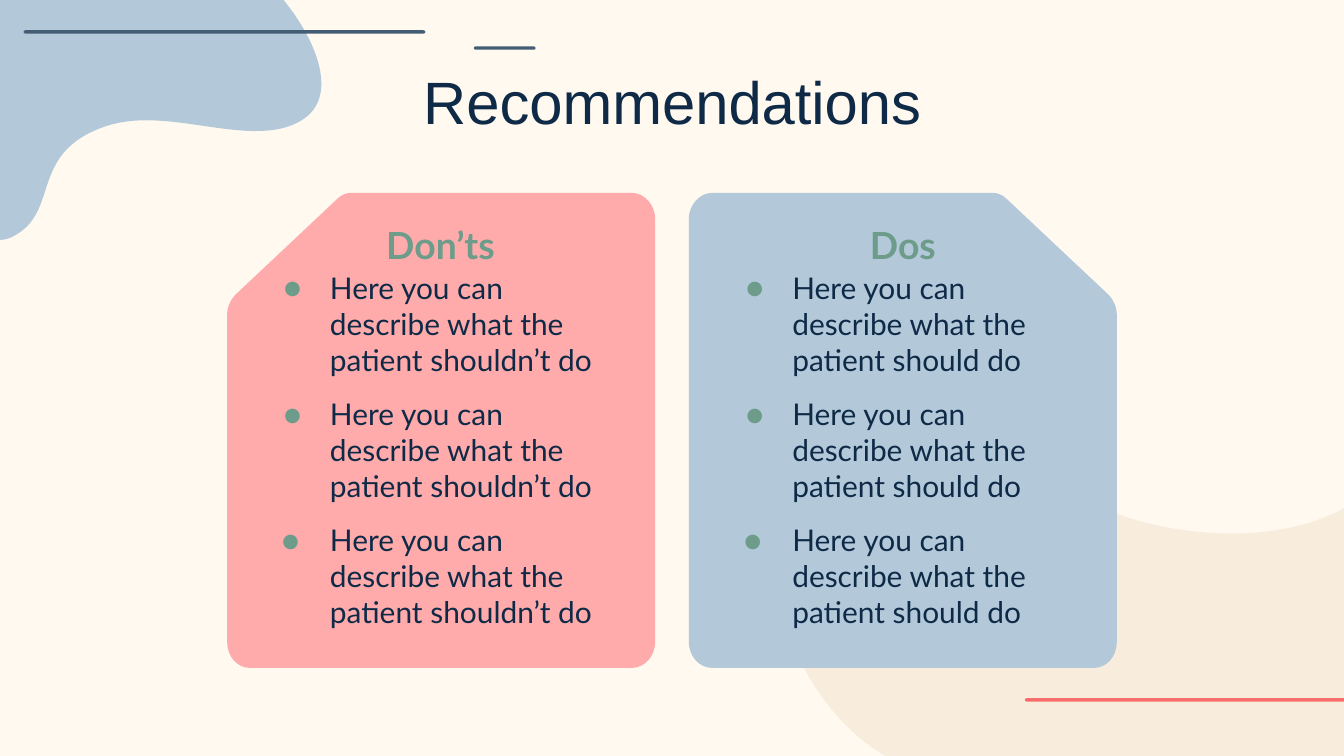
from lxml.etree import SubElement
from pptx import Presentation
from pptx.dml.color import RGBColor
from pptx.enum.text import MSO_ANCHOR, PP_ALIGN as Align
from pptx.oxml.ns import qn
from pptx.util import Inches, Pt

CREAM = RGBColor(0xFF, 0xF9, 0xF0)
BLUE = RGBColor(0xB3, 0xC9, 0xDA)
SAND = RGBColor(0xF8, 0xED, 0xDD)
SLATE = RGBColor(0x43, 0x5D, 0x74)
CORAL = RGBColor(0xF8, 0x6C, 0x6C)
PINK = RGBColor(0xFF, 0xAB, 0xAB)
NAVY = RGBColor(0x0E, 0x2A, 0x47)
GREEN = RGBColor(0x6D, 0x9C, 0x8B)

SLIDE_WIDTH = 20

# Outlines: a pair is a straight step, six numbers are a cubic curve.
TOP_BLOB = [
    (4.22, 0), (4.74, 0.64, 5.02, 1.43, 4.52, 1.77),
    (4.31, 1.91, 4.07, 1.95, 3.8, 1.95), (3.3, 1.95, 2.72, 1.79, 2.17, 1.79),
    (1.92, 1.79, 1.67, 1.83, 1.44, 1.93), (0.43, 2.35, 0.9, 3.2, 0.15, 3.54),
    (0.1, 3.56, 0.05, 3.57, 0, 3.57), (0, 0),
]
BOTTOM_BLOB = [
    (13.78, 6.58), (14.87, 6.58, 15.77, 7.47, 17.13, 7.8),
    (17.58, 7.9, 17.99, 7.94, 18.34, 7.94), (19.41, 7.94, 20, 7.56, 20, 7.56),
    (20, 11.25), (13.17, 11.25), (11.81, 10.45, 10.77, 8.04, 12.54, 6.97),
    (12.99, 6.69, 13.4, 6.58, 13.78, 6.58),
]
CARD = [
    (14.77, 2.87), (14.85, 2.87, 14.92, 2.9, 14.98, 2.96), (16.5, 4.39),
    (16.58, 4.47, 16.62, 4.58, 16.62, 4.7), (16.62, 9.55),
    (16.62, 9.77, 16.47, 9.94, 16.28, 9.94), (10.6, 9.94),
    (10.41, 9.94, 10.25, 9.77, 10.25, 9.55), (10.25, 3.26),
    (10.25, 3.05, 10.41, 2.87, 10.6, 2.87),
]


def mirror(steps):
    return [tuple(value if index % 2 else SLIDE_WIDTH - value
                  for index, value in enumerate(step)) for step in steps]


def add_bullet(paragraph, color, indent):
    properties = paragraph._p.get_or_add_pPr()
    properties.set("marL", str(Inches(1)))
    properties.set("indent", str(-Inches(indent)))
    bullet_color = SubElement(properties, qn("a:buClr"))
    SubElement(bullet_color, qn("a:srgbClr"), val=str(color))
    SubElement(properties, qn("a:buFont"), typeface="Lato")
    SubElement(properties, qn("a:buChar"), char="●")


def write(paragraph, text, *, size, font="Lato", color=NAVY, bold=False,
          align=Align.LEFT, line_spacing=None, before=None):
    run = paragraph.add_run()
    run.text = text
    run.font.size = Pt(size)
    run.font.name = font
    run.font.bold = bold
    run.font.color.rgb = color
    paragraph.alignment = align
    if line_spacing:
        paragraph.line_spacing = line_spacing
    if before:
        paragraph.space_before = Pt(before)


class SlideBuilder:
    def __init__(self, slide):
        self.slide = slide
        self.inset = Inches(0.2)
        fill = slide.background.fill
        fill.solid()
        fill.fore_color.rgb = CREAM

    def outline(self, steps, color, left, top, width, height):
        """Draw a filled outline: its frame first, then its curved path."""
        right, bottom = left + width, top + height
        frame = [(Inches(x), Inches(y)) for x, y in
                 ((left, top), (right, top), (right, bottom), (left, bottom))]
        builder = self.slide.shapes.build_freeform(*frame[0])
        builder.add_line_segments(frame[1:], close=True)
        shape = builder.convert_to_shape()
        outline_path = shape._element.find(".//" + qn("a:path"))
        for child in list(outline_path):
            outline_path.remove(child)
        for index, step in enumerate(steps):
            kind = "cubicBezTo" if len(step) == 6 else "lnTo" if index else "moveTo"
            command = SubElement(outline_path, qn("a:" + kind))
            for x, y in zip(step[::2], step[1::2]):
                SubElement(command, qn("a:pt"),
                           x=str(Inches(x - left)), y=str(Inches(y - top)))
        SubElement(outline_path, qn("a:close"))
        shape.shadow.inherit = False
        shape.fill.solid()
        shape.fill.fore_color.rgb = color
        shape.line.fill.background()

    def bar(self, left, top, right, color, round_end=True):
        """Draw a thin bar, rounded at the left and optionally at the right."""
        height, corner = 0.05, 0.03
        middle, bottom = top + height / 2, top + height
        steps = [(left + corner, top),
                 (left + 0.01, top, left, top + 0.01, left, middle),
                 (left, bottom - 0.01, left + 0.01, bottom, left + corner, bottom)]
        if round_end:
            steps += [(right - corner, bottom),
                      (right - 0.01, bottom, right, bottom - 0.01, right, middle),
                      (right, top + 0.01, right - 0.01, top, right - corner, top)]
        else:
            steps += [(right, bottom), (right, top)]
        self.outline(steps, color, left, top, right - left, height)

    def text_frame(self, left, top, width, height):
        box = self.slide.shapes.add_textbox(
            Inches(left), Inches(top), Inches(width), Inches(height))
        frame = box.text_frame
        frame.word_wrap = True
        frame.vertical_anchor = MSO_ANCHOR.TOP
        frame.margin_left = frame.margin_right = self.inset
        frame.margin_top = frame.margin_bottom = self.inset
        return frame

    def title(self, text):
        frame = self.text_frame(1.59, 0.97, 16.82, 1.25)
        write(frame.paragraphs[0], text, size=64, font="Arial",
              align=Align.CENTER, line_spacing=0.8)

    def advice(self, left, heading, sentence):
        """Add a heading and three bullets on a card."""
        width = 5.69
        frame = self.text_frame(left, 3.11, width, 0.87)
        write(frame.paragraphs[0], heading, size=40, color=GREEN, bold=True,
              align=Align.CENTER)
        frame = self.text_frame(left, 3.81, width, 5.81)
        for index, indent in enumerate((0.69, 0.69, 0.72)):
            paragraph = frame.add_paragraph() if index else frame.paragraphs[0]
            add_bullet(paragraph, GREEN, indent)
            write(paragraph, sentence, size=32, before=20 if index else None)
        paragraph.space_after = Pt(20)


def main():
    presentation = Presentation()
    presentation.slide_width = Inches(SLIDE_WIDTH)
    presentation.slide_height = Inches(11.25)
    builder = SlideBuilder(presentation.slides.add_slide(presentation.slide_layouts[6]))

    builder.outline(TOP_BLOB, BLUE, 0, 0, 5.02, 3.57)
    builder.outline(BOTTOM_BLOB, SAND, 10.77, 6.58, 9.23, 4.67)
    builder.bar(0.35, 0.45, 6.33, SLATE)
    builder.bar(7.05, 0.69, 7.97, SLATE)
    builder.bar(15.25, 10.39, SLIDE_WIDTH, CORAL, round_end=False)

    builder.outline(CARD, BLUE, 10.25, 2.87, 6.37, 7.07)
    builder.outline(mirror(CARD), PINK, 3.38, 2.87, 6.37, 7.07)

    builder.title("Recommendations")
    builder.advice(10.59, "Dos", "Here you can describe what the patient should do")
    builder.advice(3.71, "Don’ts", "Here you can describe what the patient shouldn’t do")

    presentation.save("out.pptx")


if __name__ == "__main__":
    main()
